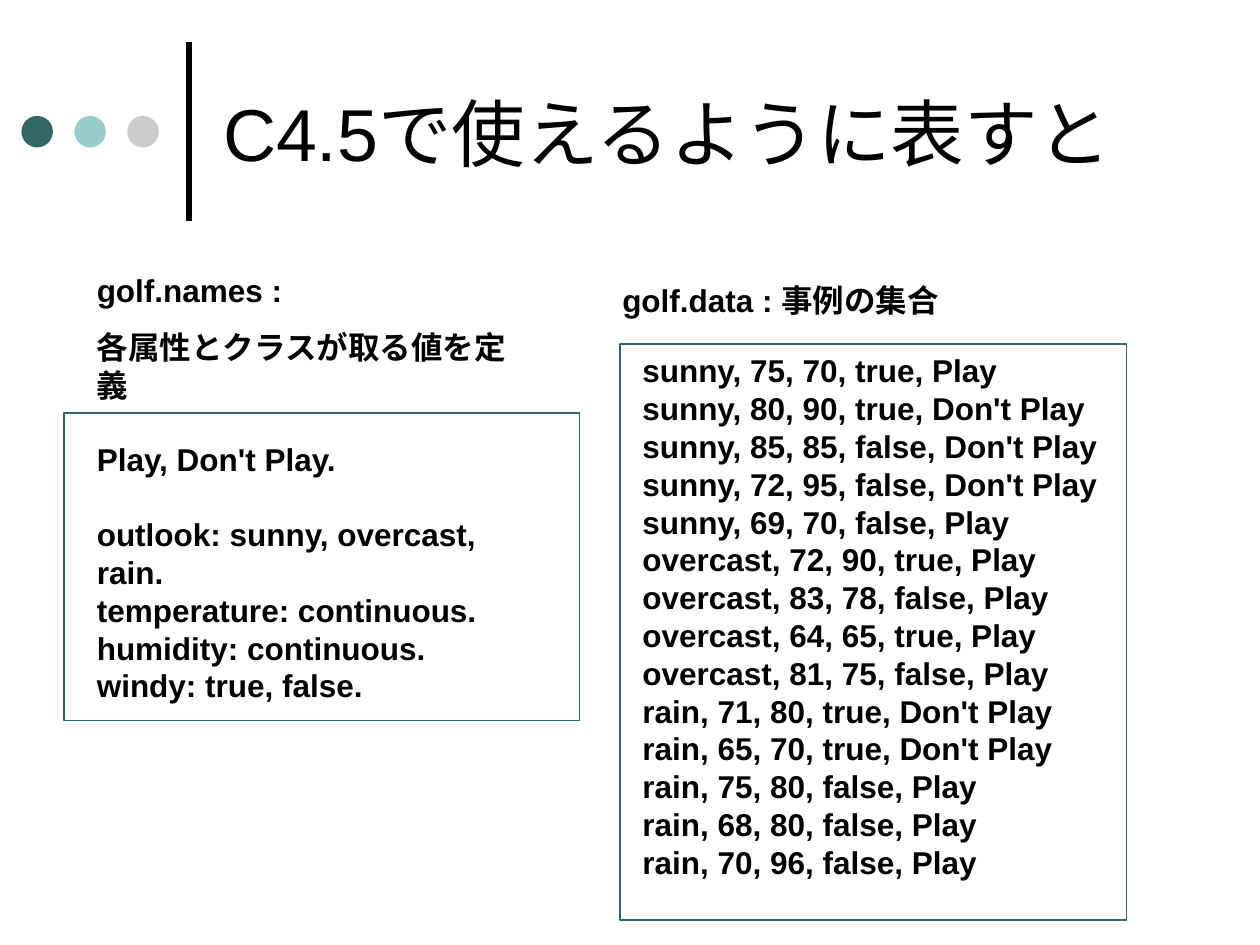
from lxml import etree
from pptx import Presentation
from pptx.dml.color import RGBColor
from pptx.enum import shapes, text
from pptx.oxml.ns import qn
from pptx.util import Inches, Pt

BLACK, WHITE, TEAL = "000000", "FFFFFF", "336666"


def color(hex_value):
    return RGBColor.from_string(hex_value)


def write(frame, lines, size, bold=False, before=0):
    """Fill a text frame with one paragraph per line, at 1.2 line pitch."""
    frame.word_wrap = True
    frame.text = "\n".join(lines)
    for paragraph in frame.paragraphs:
        paragraph.alignment = text.PP_ALIGN.LEFT
        paragraph.line_spacing = Pt(size * 1.2)
        paragraph.space_before = Pt(before)
        font = paragraph.runs[0].font
        font.name, font.size, font.bold = "Arial", Pt(size), bold
        font.color.rgb = color(BLACK)


prs = Presentation()
prs.slide_width, prs.slide_height = Inches(10), Inches(7.5)
slide = prs.slides.add_slide(prs.slide_layouts[5])
slide.background.fill.solid()
slide.background.fill.fore_color.rgb = color(WHITE)

# Vertical rule beside the title
rule = slide.shapes.add_connector(
    shapes.MSO_CONNECTOR.STRAIGHT,
    Inches(1.5), Inches(1.75), Inches(1.5), Inches(0.33))
rule.line.color.rgb = color(BLACK)
rule.line.width = Pt(3)
etree.SubElement(rule._element.spPr, qn("a:effectLst"))

# Three dots
for i, dot_color in enumerate([TEAL, "99CCCC", "CCCCCC"]):
    dot = slide.shapes.add_shape(
        shapes.MSO_SHAPE.OVAL, Inches(0.17 + 0.42 * i), Inches(0.92),
        Inches(0.25), Inches(0.25))
    dot.shadow.inherit = False
    dot.fill.solid()
    dot.fill.fore_color.rgb = color(dot_color)
    dot.line.fill.background()

# Title
title = slide.shapes.title
title.left, title.top = Inches(1.67), Inches(0.21)
title.width, title.height = Inches(7.67), Inches(1.67)
title.text_frame.vertical_anchor = text.MSO_ANCHOR.MIDDLE
write(title.text_frame, ["C4.5で使えるように表すと"], 42)

# Frames around the two file listings
for place in [(0.51, 3.28, 4.09, 2.44), (4.92, 2.73, 4.02, 4.57)]:
    border = slide.shapes.add_shape(
        shapes.MSO_SHAPE.RECTANGLE, *map(Inches, place))
    border.shadow.inherit = False
    border.fill.solid()
    border.fill.fore_color.rgb = color(WHITE)
    border.line.color.rgb = color(TEAL)
    border.line.width = Pt(1)

# File headings and contents: place, space before, lines
names_lines = [
    "Play, Don't Play.",
    "outlook: sunny, overcast, rain.",
    "temperature: continuous.",
    "humidity: continuous.",
    "windy: true, false.",
]
data_lines = [
    "sunny, 75, 70, true, Play",
    "sunny, 80, 90, true, Don't Play",
    "sunny, 85, 85, false, Don't Play",
    "sunny, 72, 95, false, Don't Play",
    "sunny, 69, 70, false, Play",
    "overcast, 72, 90, true, Play",
    "overcast, 83, 78, false, Play",
    "overcast, 64, 65, true, Play",
    "overcast, 81, 75, false, Play",
    "rain, 71, 80, true, Don't Play",
    "rain, 65, 70, true, Don't Play",
    "rain, 75, 80, false, Play",
    "rain, 68, 80, false, Play",
    "rain, 70, 96, false, Play",
]
passages = [
    ((0.67, 2.1, 3.54, 1.16), 11.2,
     ["golf.names :", "各属性とクラスが取る値を定義"]),
    ((0.67, 3.44, 3.78, 2.2), 0, names_lines),
    ((4.84, 2.18, 4.49, 0.4), 11.2, ["golf.data : 事例の集合"]),
    ((5, 2.74, 3.86, 4.3), 0, data_lines),
]
for place, before, lines in passages:
    passage = slide.shapes.add_textbox(*map(Inches, place))
    write(passage.text_frame, lines, 18, bold=True, before=before)
    if lines is names_lines:
        # One line of space between the classes and the attributes
        passage.text_frame.paragraphs[1].space_before = Pt(21.6)

prs.save("out.pptx")
